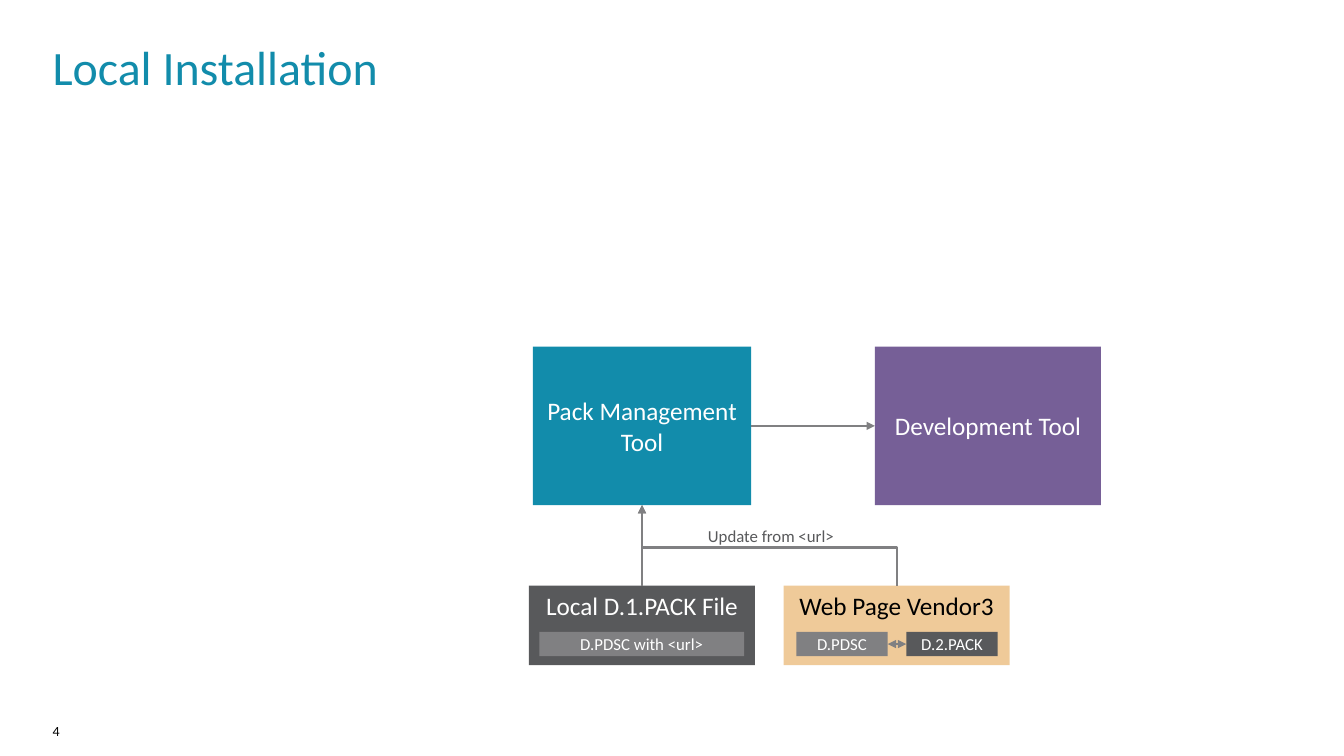
import lxml.etree
import pptx
import pptx.dml.color
import pptx.enum.shapes
import pptx.enum.text
import pptx.oxml.ns
import pptx.util

Pt = pptx.util.Pt
qn = pptx.oxml.ns.qn
KINDS = pptx.enum.shapes.MSO_CONNECTOR
ALIGN = pptx.enum.text.PP_ALIGN
ANCHOR = pptx.enum.text.MSO_ANCHOR
TOP, LEFT, BOTTOM, RIGHT = range(4)
COLORS = {
    "teal": "128CAB",
    "purple": "765F97",
    "dark": "58595B",
    "gray": "808082",
    "orange": "D77B00",
    "white": "FFFFFF",
    "black": "000000",
}


class Board:
    font = "Calibri"

    def __init__(self, slide):
        self.slide = slide

    def color(self, name):
        return pptx.dml.color.RGBColor.from_string(COLORS[name])

    def letter(self, shape, text, size, color, align, anchor):
        frame = shape.text_frame
        frame.word_wrap = True
        frame.vertical_anchor = anchor
        frame.text = text
        for para in frame.paragraphs:
            para.alignment = align
            for run in para.runs:
                run.font.name = self.font
                run.font.size = Pt(size)
                run.font.color.rgb = self.color(color)

    def label(self, text, x, y, w, h, size, color, align=ALIGN.LEFT, anchor=ANCHOR.TOP):
        box = self.slide.shapes.add_textbox(Pt(x), Pt(y), Pt(w), Pt(h))
        frame = box.text_frame
        frame.margin_left = frame.margin_right = 0
        frame.margin_top = frame.margin_bottom = 0
        self.letter(box, text, size, color, align, anchor)

    def block(self, text, x, y, w, h, fill, size=18, color="white",
              anchor=ANCHOR.MIDDLE, alpha=None):
        kind = pptx.enum.shapes.MSO_SHAPE.RECTANGLE
        shape = self.slide.shapes.add_shape(kind, Pt(x), Pt(y), Pt(w), Pt(h))
        shape.shadow.inherit = False
        shape.fill.solid()
        shape.fill.fore_color.rgb = self.color(fill)
        shape.line.fill.background()
        if alpha:
            tone = shape._element.spPr.find(qn("a:solidFill"))[0]
            lxml.etree.SubElement(tone, qn("a:alpha")).set("val", str(alpha * 1000))
        self.letter(shape, text, size, color, ALIGN.CENTER, anchor)
        return shape

    def chip(self, text, x, w, fill):
        return self.block(text, x, 451.4, w, 17.3, fill, size=12)

    def style(self, line, heads):
        line.line.color.rgb = self.color("gray")
        line.line.width = Pt(1.5)
        props = line._element.spPr
        stroke = props.find(qn("a:ln"))
        for head in heads:
            lxml.etree.SubElement(stroke, qn("a:" + head)).set("type", "triangle")
        lxml.etree.SubElement(props, qn("a:effectLst"))

    def arrow(self, start, side, end, goal, heads=("tailEnd",)):
        line = self.slide.shapes.add_connector(KINDS.STRAIGHT, 0, 0, 0, 0)
        line.begin_connect(start, side)
        line.end_connect(end, goal)
        self.style(line, heads)

    def elbow(self, start, end, bend):
        x1, y1 = start.left + start.width // 2, start.top
        x2, y2 = end.left + end.width // 2, end.top + end.height
        mid_x, mid_y = (x1 + x2) // 2, (y1 + y2) // 2
        half_w, half_h = (y1 - y2) // 2, (x1 - x2) // 2
        line = self.slide.shapes.add_connector(
            KINDS.ELBOW, mid_x - half_w, mid_y + half_h, mid_x + half_w, mid_y - half_h)
        props = line._element.spPr
        props.find(qn("a:xfrm")).set("rot", str(270 * 60000))
        guides = props.find(qn("a:prstGeom")).get_or_add_avLst()
        guide = lxml.etree.SubElement(guides, qn("a:gd"))
        guide.set("name", "adj1")
        guide.set("fmla", f"val {bend * 1000:.0f}")
        self.style(line, ("tailEnd",))


def main():
    deck = pptx.Presentation()
    deck.slide_width, deck.slide_height = Pt(960), Pt(540)
    board = Board(deck.slides.add_slide(deck.slide_layouts[6]))

    board.label("4", 37.6, 516.4, 103, 18.7, 10, "black")
    board.label("Local Installation", 37.6, 26.6, 878.4, 45.4, 34.2, "teal")

    tool = board.block("Development Tool", 625, 247.6, 161.4, 113.2, "purple")
    pack = board.block("Pack Management Tool", 380.6, 247.6, 156, 113.2, "teal")
    local = board.block("Local D.1.PACK File", 377.9, 418.4, 161.4, 56.8, "dark",
                        anchor=ANCHOR.TOP)
    web = board.block("Web Page Vendor3", 559.8, 418.4, 161.4, 56.8, "orange",
                      color="black", anchor=ANCHOR.TOP, alpha=40)
    board.chip("D.PDSC with <url>", 385.2, 146.4, "gray")
    desc = board.chip("D.PDSC", 568.8, 65.3, "gray")
    update = board.chip("D.2.PACK", 647.4, 65.3, "dark")
    board.label("Update from <url>", 470, 372.2, 161.4, 21.6, 12, "dark",
                ALIGN.CENTER, ANCHOR.MIDDLE)

    board.arrow(pack, RIGHT, tool, LEFT)
    board.arrow(local, TOP, pack, BOTTOM)
    board.arrow(desc, RIGHT, update, LEFT, ("headEnd", "tailEnd"))
    board.elbow(web, pack, 47.4)

    deck.save("out.pptx")


if __name__ == "__main__":
    main()
